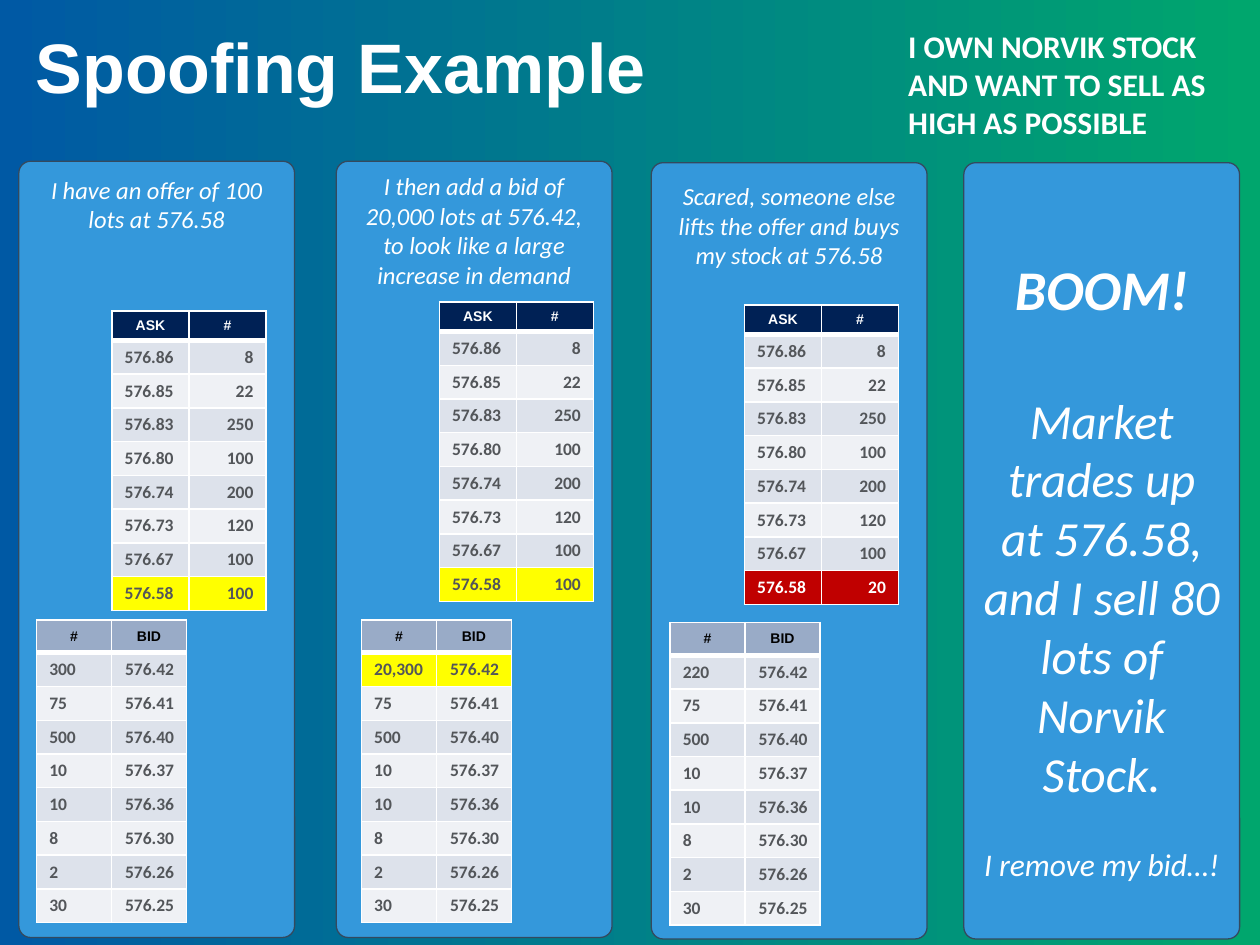
from lxml import etree
from pptx import Presentation
from pptx.dml.color import RGBColor
from pptx.enum.shapes import MSO_SHAPE
from pptx.enum.text import MSO_ANCHOR, MSO_AUTO_SIZE, PP_ALIGN
from pptx.oxml.ns import qn
from pptx.util import Cm, Pt

LEFT, CENTER, RIGHT = PP_ALIGN.LEFT, PP_ALIGN.CENTER, PP_ALIGN.RIGHT
TOP, MIDDLE = MSO_ANCHOR.TOP, MSO_ANCHOR.MIDDLE
RECT, ROUNDED = MSO_SHAPE.RECTANGLE, MSO_SHAPE.ROUNDED_RECTANGLE
TITLE_ONLY = 5

COLORS = {
    "blue": "0059A4", "green": "00A66D", "panel": "3498DB", "edge": "34495E",
    "white": "FFFFFF", "black": "000000", "body": "53565A",
    "ask_head": "002155", "bid_head": "99ABC7",
    "band_dark": "DDE2EB", "band_light": "EFF1F5",
    "yellow": "FFFF00", "red": "C00000",
}
SLIDE_W, SLIDE_H = 25.4, 19.05
PANEL_W, PANEL_H = 5.56, 15.65
CAPTION_W, CAPTION_INSET = 5.26, 0.15
ROW_H = 0.68

ASK_PRICES = ["576.86", "576.85", "576.83", "576.80",
              "576.74", "576.73", "576.67", "576.58"]
ASK_SIZES = ["8", "22", "250", "100", "200", "120", "100"]
BID_PRICES = ["576.42", "576.41", "576.40", "576.37",
              "576.36", "576.30", "576.26", "576.25"]
BID_SIZES = ["75", "500", "10", "10", "8", "2", "30"]

ASK_STYLE = {"labels": ("ASK", "#"), "fill": "ask_head", "ink": "white",
             "col_w": 1.55, "head_h": 0.59}
BID_STYLE = {"labels": ("#", "BID"), "fill": "bid_head", "ink": "black",
             "col_w": 1.51, "head_h": 0.66}

# Each step: panel box corner, caption, and order book offsets inside the panel
STEPS = [
    {"left": 0.38, "top": 3.25, "caption": "I have an offer of 100 lots at 576.58",
     "caption_box": (0.15, 1.45), "ask_at": (1.88, 3.02), "bid_at": (0.36, 9.25),
     "ask_size": "100", "bid_size": "300", "ask_mark": "yellow", "bid_mark": None},
    {"left": 6.78, "top": 3.25,
     "caption": "I then add a bid of 20,000 lots at 576.42, "
                "to look like a large increase in demand",
     "caption_box": (0.08, 2.64), "ask_at": (2.08, 2.84), "bid_at": (0.51, 9.25),
     "ask_size": "100", "bid_size": "20,300", "ask_mark": "yellow", "bid_mark": "yellow"},
    {"left": 13.13, "top": 3.28,
     "caption": "Scared, someone else lifts the offer and buys my stock at 576.58",
     "caption_box": (0.25, 2.06), "ask_at": (1.88, 2.87), "bid_at": (0.38, 9.27),
     "ask_size": "20", "bid_size": "220", "ask_mark": "red", "bid_mark": None},
]
OUTCOME = [  # text, size, bold, space before in points
    ("BOOM!", 32, True, 0),
    ("Market trades up at 576.58, and I sell 80 lots of Norvik Stock.", 28, False, 39),
    ("I remove my bid…!", 18, False, 24.4),
]


def rgb(name):
    return RGBColor.from_string(COLORS[name])


def write(para, text, color="white", align=LEFT, **font):
    para.alignment = align
    span = para.add_run()
    span.text = text
    span.font.color.rgb = rgb(color)
    for key, value in ({"name": "Calibri"} | font).items():
        setattr(span.font, key, value)


def add_text_box(page, left, top, width, height):
    box = page.shapes.add_textbox(Cm(left), Cm(top), Cm(width), Cm(height))
    box.text_frame.word_wrap = True
    return box.text_frame


def add_backdrop(page):
    backdrop = page.shapes.add_shape(RECT, 0, 0, Cm(SLIDE_W), Cm(SLIDE_H))
    backdrop.shadow.inherit = False
    backdrop.line.fill.background()
    backdrop.fill.gradient()
    backdrop.fill.gradient_angle = 0
    for stop, color in zip(backdrop.fill.gradient_stops, ("blue", "green")):
        stop.color.rgb = rgb(color)


def add_panel(page, left, top):
    panel = page.shapes.add_shape(ROUNDED, Cm(left), Cm(top), Cm(PANEL_W), Cm(PANEL_H))
    panel.adjustments[0] = 0.043
    panel.shadow.inherit = False
    panel.fill.solid()
    panel.fill.fore_color.rgb = rgb("panel")
    panel.line.color.rgb = rgb("edge")
    panel.line.width = Pt(0.75)


def add_heading(page):
    title = page.shapes.title
    # Lift the title above the backdrop
    title.element.getparent().append(title.element)
    title.left, title.top, title.width, title.height = Cm(0.64), Cm(0.86), Cm(16.94), Cm(3.45)
    frame = title.text_frame
    settings = dict.fromkeys(
        ("margin_left", "margin_top", "margin_right", "margin_bottom"), Cm(0.08))
    settings |= {"vertical_anchor": TOP, "word_wrap": True, "auto_size": MSO_AUTO_SIZE.NONE}
    for key, value in settings.items():
        setattr(frame, key, value)
    frame.paragraphs[0].line_spacing = 0.7
    write(frame.paragraphs[0], "Spoofing Example", name="Arial", size=Pt(40), bold=True)

    goal = add_text_box(page, 18.06, 0.43, 6.68, 9.4)
    write(goal.paragraphs[0], "I OWN NORVIK STOCK AND WANT TO SELL AS HIGH AS POSSIBLE",
          size=Pt(18), bold=True)


def set_borders(cell, top, bottom):
    properties = cell._tc.get_or_add_tcPr()
    for side, points in (("L", 1), ("R", 1), ("T", top), ("B", bottom)):
        line = etree.SubElement(properties, qn(f"a:ln{side}"), w=str(Pt(points)))
        fill = etree.SubElement(line, qn("a:solidFill"))
        etree.SubElement(fill, qn("a:srgbClr"), val=COLORS["white"])


def add_book(page, left, top, style, rows, marked_row, mark):
    """One side of the order book; the marked row takes the mark colour."""
    lines = [style["labels"], *rows]
    height = style["head_h"] + ROW_H * len(rows)
    table = page.shapes.add_table(len(lines), 2, Cm(left), Cm(top),
                                  Cm(2 * style["col_w"]), Cm(height)).table
    for column in table.columns:
        column.width = Cm(style["col_w"])
    for number, values in enumerate(lines):
        header = number == 0
        table.rows[number].height = Cm(style["head_h"] if header else ROW_H)
        if header:
            fill, ink = style["fill"], style["ink"]
        else:
            fill = "band_dark" if number % 2 else "band_light"
            ink = "body"
            if mark and number == marked_row:
                fill = mark
                ink = "white" if mark == "red" else "body"
        for index, value in enumerate(values):
            cell = table.cell(number, index)
            set_borders(cell, 3 if number == 1 else 1, 3 if header else 1)
            cell.fill.solid()
            cell.fill.fore_color.rgb = rgb(fill)
            cell.vertical_anchor = MIDDLE if header else TOP
            write(cell.text_frame.paragraphs[0], value, ink,
                  CENTER if header else (LEFT, RIGHT)[index],
                  name="Arial" if header else "Calibri",
                  size=Pt(8 if header else 10), bold=True)


def add_step(page, step):
    left, top = step["left"], step["top"]
    add_panel(page, left, top)
    offset, height = step["caption_box"]
    caption = add_text_box(page, left + CAPTION_INSET, top + offset, CAPTION_W, height)
    write(caption.paragraphs[0], step["caption"], align=CENTER, size=Pt(14), italic=True)
    asks = list(zip(ASK_PRICES, ASK_SIZES + [step["ask_size"]]))
    bids = list(zip([step["bid_size"]] + BID_SIZES, BID_PRICES))
    for key, style, rows, marked_row in (("bid", BID_STYLE, bids, 1),
                                         ("ask", ASK_STYLE, asks, len(asks))):
        across, down = step[f"{key}_at"]
        add_book(page, left + across, top + down, style, rows, marked_row, step[f"{key}_mark"])


def add_outcome(page, left, top):
    add_panel(page, left, top)
    frame = add_text_box(page, left + CAPTION_INSET, top + 1.73, CAPTION_W, 13.0)
    for number, (text, size, bold, gap) in enumerate(OUTCOME):
        para = frame.add_paragraph() if number else frame.paragraphs[0]
        para.space_before = Pt(gap)
        write(para, text, align=CENTER, size=Pt(size), bold=bold, italic=True)


def main():
    deck = Presentation()
    deck.slide_width, deck.slide_height = Cm(SLIDE_W), Cm(SLIDE_H)
    page = deck.slides.add_slide(deck.slide_layouts[TITLE_ONLY])
    add_backdrop(page)
    add_heading(page)
    for step in STEPS:
        add_step(page, step)
    add_outcome(page, 19.43, 3.28)
    deck.save("out.pptx")


if __name__ == "__main__":
    main()
